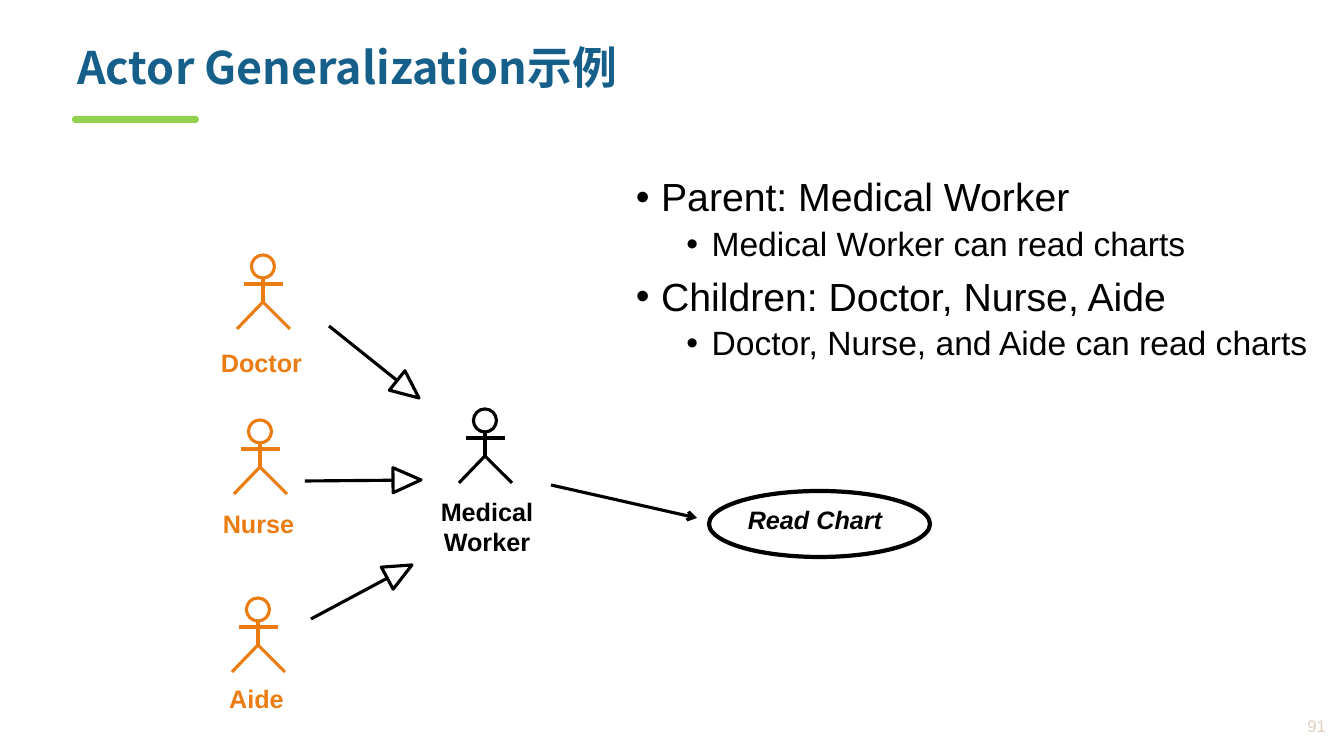
"""Builds the actor generalization slide: stick figures, arrows and notes."""
from dataclasses import dataclass
from math import atan2, cos, degrees, hypot, pi, sin

from lxml.etree import SubElement
from pptx import Presentation
from pptx.dml.color import RGBColor
from pptx.enum.shapes import MSO_CONNECTOR as LINE, MSO_SHAPE as SHAPE
from pptx.enum.text import MSO_ANCHOR as ANCHOR, MSO_AUTO_SIZE as AUTO, PP_ALIGN as ALIGN
from pptx.oxml.ns import qn
from pptx.util import Pt

PX = 914400 / 100.8


@dataclass(frozen=True)
class Theme:
    title: str = "175F8B"
    accent: str = "92D050"
    child: str = "EB7C11"
    ink: str = "000000"
    page: str = "E0CFBD"
    font: str = "Arial"
    title_font: str = "Noto Sans CJK SC"
    title_size: int = 32
    body_sizes: tuple = (28, 24)
    label_size: int = 18
    page_size: int = 12
    stroke: float = 2.25
    oval_stroke: float = 3


T = Theme()

TITLE = ("Actor Generalization示例", (67, 41, 1237, 76))
PAGE = ("91", (1222, 707, 114, 38))
ACCENT_BAR = (72, 116, 127, 7)
NOTES_BOX = (626, 173, 719, 490)
NOTES = [
    (0, "Parent: Medical Worker"),
    (1, "Medical Worker can read charts"),
    (0, "Children: Doctor, Nurse, Aide"),
    (1, "Doctor, Nurse, and Aide can read charts"),
]
ACTORS = [
    ("Doctor", (263, 255), (208, 341, 107, 42), T.child, False),
    ("Nurse", (260, 420), (206, 502, 105, 42), T.child, False),
    ("Aide", (258, 598), (216, 677, 81, 42), T.child, False),
    ("Medical Worker", (485, 409), (421, 490, 132, 73), T.ink, True),
]
GENERALIZATIONS = [
    ((329, 326), (419, 398)),
    ((305, 481), (421, 480)),
    ((311, 619), (412, 565)),
]
USE_CASE = ("Read Chart", (709, 491, 221, 66), (734, 498, 162, 42))
ASSOCIATION = ((551, 485), (697, 518))
HEAD_WIDTH, HEAD_LENGTH = 25, 28


def emu(values):
    return [round(v * PX) for v in values]


def color(value):
    return RGBColor.from_string(value)


def add_text(tf, text, *, size, ink, font=T.font, bold=False, italic=False,
             align=ALIGN.LEFT, level=None, spacing=None, before=0):
    """Add one formatted paragraph to a text frame."""
    first = not tf.paragraphs[0].runs
    p = tf.paragraphs[0] if first else tf.add_paragraph()
    if level is not None:
        pPr = p._p.get_or_add_pPr()
        pPr.set("marL", str(round((25.2 + 50.4 * level) * PX)))
        pPr.set("indent", str(round(-25.2 * PX)))
        SubElement(pPr, qn("a:buFont"), typeface=font)
        SubElement(pPr, qn("a:buChar"), char="•")
        p.level = level
    p.alignment = align
    if spacing:
        p.line_spacing = spacing
    if before and not first:
        p.space_before = Pt(before)
    r = p.add_run()
    r.text = text
    f = r.font
    f.name, f.size, f.bold, f.italic = font, Pt(size), bold, italic
    f.color.rgb = color(ink)
    SubElement(r._r.get_or_add_rPr(), qn("a:ea"), typeface=font)


def add_box(shapes, box, wrap=True, insets=(10, 5), anchor=ANCHOR.TOP):
    tf = shapes.add_textbox(*emu(box)).text_frame
    tf.word_wrap, tf.vertical_anchor = wrap, anchor
    tf.margin_left = tf.margin_right = round(insets[0] * PX)
    tf.margin_top = tf.margin_bottom = round(insets[1] * PX)
    return tf


def add_label(shapes, text, box, ink, wrap=False, italic=False):
    tf = add_box(shapes, box, wrap, (12, 6))
    tf.auto_size = AUTO.SHAPE_TO_FIT_TEXT
    add_text(tf, text, size=T.label_size, ink=ink, bold=True, italic=italic,
             align=ALIGN.CENTER)


def outline(sp, ink, width=T.stroke):
    sp.shadow.inherit = False
    sp.fill.background()
    sp.line.color.rgb, sp.line.width = color(ink), Pt(width)
    return sp


def add_line(shapes, start, end, ink=T.ink):
    cx = shapes.add_connector(LINE.STRAIGHT, *emu((*start, *end)))
    cx.line.color.rgb, cx.line.width = color(ink), Pt(T.stroke)
    SubElement(cx._element.spPr, qn("a:effectLst"))
    return cx


def add_path(shapes, points, ink, close=False):
    corners = [emu(point) for point in points]
    builder = shapes.build_freeform(*corners[0])
    builder.add_line_segments(corners[1:], close=close)
    outline(builder.convert_to_shape(), ink)


def add_figure(shapes, x, y, ink):
    """Draw a stick figure whose head has its top at x, y."""
    group = shapes.add_group_shape().shapes
    turns = [2 * pi * i / 16 for i in range(16)]
    head = [(x + 11.5 * sin(t), y + 11.5 - 11.5 * cos(t)) for t in turns]
    add_path(group, head, ink, close=True)
    add_line(group, (x - 19, y + 29), (x + 20, y + 29), ink)
    add_line(group, (x, y + 23), (x, y + 47), ink)
    add_path(group, [(x - 26, y + 74), (x, y + 47), (x + 27, y + 74)], ink)


def add_generalization(shapes, tail, tip):
    """Draw a line that ends in a hollow triangle pointing at tip."""
    group = shapes.add_group_shape().shapes
    dx, dy = tip[0] - tail[0], tip[1] - tail[1]
    ux, uy = dx / hypot(dx, dy), dy / hypot(dx, dy)
    add_line(group, tail, (tip[0] - HEAD_LENGTH * ux, tip[1] - HEAD_LENGTH * uy))
    cx, cy = tip[0] - HEAD_LENGTH / 2 * ux, tip[1] - HEAD_LENGTH / 2 * uy
    box = (cx - HEAD_WIDTH / 2, cy - HEAD_LENGTH / 2, HEAD_WIDTH, HEAD_LENGTH)
    sp = outline(group.add_shape(SHAPE.ISOSCELES_TRIANGLE, *emu(box)), T.ink)
    sp.rotation = 90 + degrees(atan2(dy, dx))


def main():
    prs = Presentation()
    prs.slide_width, prs.slide_height = emu((1344, 756))
    slide = prs.slides.add_slide(prs.slide_layouts[5])
    shapes = slide.shapes

    title = shapes.title
    title.left, title.top, title.width, title.height = emu(TITLE[1])
    tf = title.text_frame
    tf.auto_size, tf.vertical_anchor = AUTO.NONE, ANCHOR.TOP
    add_text(tf, TITLE[0], size=T.title_size, ink=T.title, font=T.title_font,
             bold=True, spacing=0.9)

    bar = shapes.add_shape(SHAPE.ROUND_2_SAME_RECTANGLE, *emu(ACCENT_BAR))
    bar.adjustments[0] = bar.adjustments[1] = 0.5
    bar.shadow.inherit = False
    bar.fill.solid()
    bar.fill.fore_color.rgb = color(T.accent)
    bar.line.fill.background()

    notes = add_box(shapes, NOTES_BOX)
    for level, text in NOTES:
        add_text(notes, text, size=T.body_sizes[level], ink=T.ink, level=level,
                 spacing=0.9, before=(10, 5)[level])

    name, oval, label = USE_CASE
    outline(shapes.add_shape(SHAPE.OVAL, *emu(oval)), T.ink, T.oval_stroke)
    add_label(shapes, name, label, T.ink, italic=True)

    for name, head, label, ink, wrap in ACTORS:
        add_figure(shapes, *head, ink)
        add_label(shapes, name, label, ink, wrap)

    arrow = add_line(shapes, *ASSOCIATION)
    SubElement(arrow.line._get_or_add_ln(), qn("a:tailEnd"), type="arrow")
    for tail, tip in GENERALIZATIONS:
        add_generalization(shapes, tail, tip)

    page = add_box(shapes, PAGE[1], anchor=ANCHOR.MIDDLE)
    add_text(page, PAGE[0], size=T.page_size, ink=T.page, align=ALIGN.RIGHT)
    prs.save("out.pptx")


if __name__ == "__main__":
    main()
